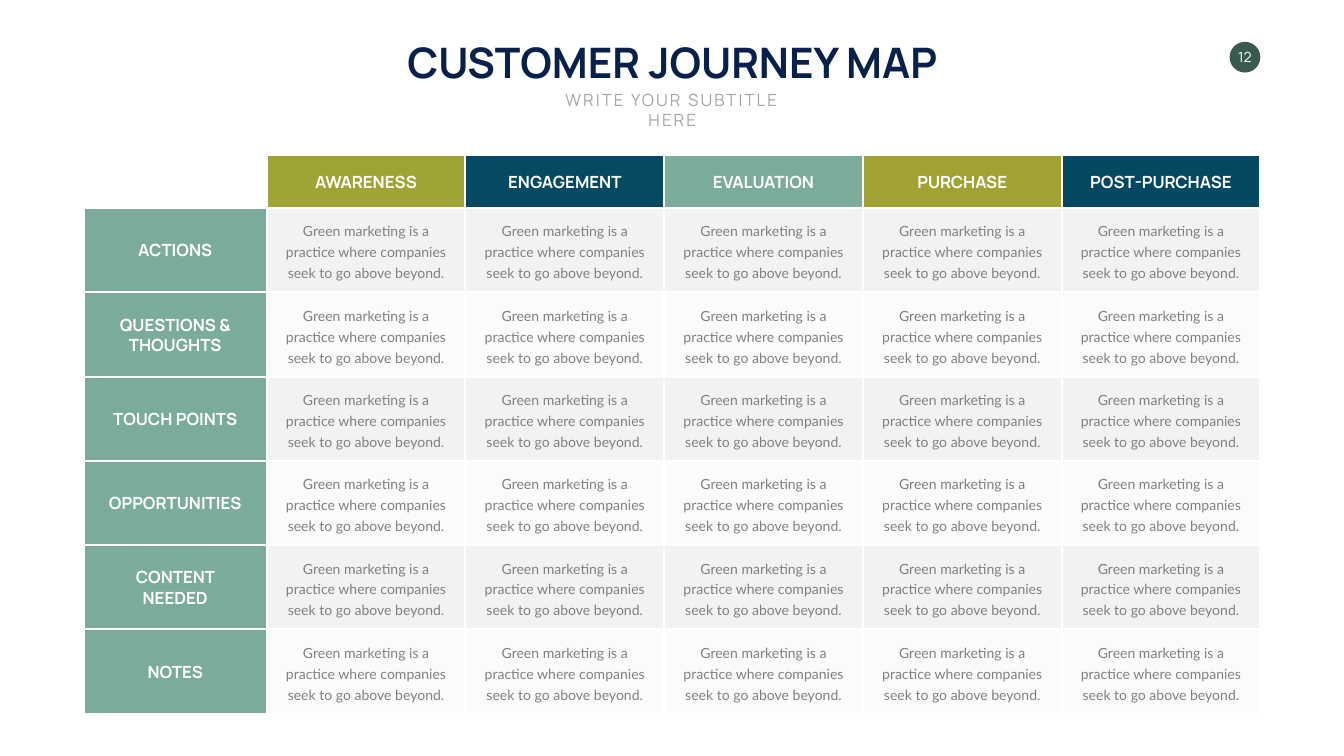
import dataclasses
import typing

import lxml.etree
import pptx
import pptx.dml.color
import pptx.enum.shapes
import pptx.enum.text
import pptx.oxml.ns
import pptx.util

SLIDE_WIDTH, SLIDE_HEIGHT = 26.66, 15
GRID_LEFT, GRID_TOP = 1.66, 3.08
GRID_RIGHT, GRID_BOTTOM = 25, 14.16
LABEL_WIDTH, HEADER_HEIGHT = 3.63, 1.05
HEADING_FONT, BODY_FONT = "Manrope", "Lato"
WHITE, LABEL_FILL, CELL_FILL = "FFFFFF", "7BAB99", "F2F2F2"
CELL_TEXT = "Green marketing is a practice where companies seek to go above beyond."


@dataclasses.dataclass(frozen=True)
class Area:
    left: float
    top: float
    width: float
    height: float

    def centered(self, inset: float, height: float) -> "Area":
        return Area(self.left + inset, self.top + (self.height - height) / 2,
                    self.width - 2 * inset, height)


@dataclasses.dataclass(frozen=True)
class Stage:
    name: str
    fill: str


@dataclasses.dataclass(frozen=True)
class Topic:
    name: str
    text_height: float = 0.5


STAGES = [
    Stage("AWARENESS", "A0A434"),
    Stage("ENGAGEMENT", "064963"),
    Stage("EVALUATION", "7BAC99"),
    Stage("PURCHASE", "A0A333"),
    Stage("POST-PURCHASE", "054862"),
]
TOPICS = [
    Topic("ACTIONS"),
    Topic("QUESTIONS & THOUGHTS", 0.91),
    Topic("TOUCH POINTS"),
    Topic("OPPORTUNITIES"),
    Topic("CONTENT NEEDED", 0.91),
    Topic("NOTES"),
]


def color(value: str) -> pptx.dml.color.RGBColor:
    return pptx.dml.color.RGBColor.from_string(value)


def grid_area(column: int, row: int) -> Area:
    column_width = (GRID_RIGHT - GRID_LEFT - LABEL_WIDTH) / len(STAGES)
    row_height = (GRID_BOTTOM - GRID_TOP - HEADER_HEIGHT) / len(TOPICS)
    left = GRID_LEFT if column == 0 else GRID_LEFT + LABEL_WIDTH + (column - 1) * column_width
    top = GRID_TOP if row == 0 else GRID_TOP + HEADER_HEIGHT + (row - 1) * row_height
    return Area(left, top, column_width if column else LABEL_WIDTH,
                row_height if row else HEADER_HEIGHT)


def lengths(area: Area) -> list[pptx.util.Length]:
    return [pptx.util.Inches(value) for value in dataclasses.astuple(area)]


def write(box: typing.Any, text: str, *, size: float, fill: str, font: str = HEADING_FONT,
          bold: bool = False, wrap: bool = True, anchor: str = "MIDDLE",
          spacing: float | None = None, tracking: float = 0,
          margin: float | None = None) -> None:
    frame = box.text_frame
    frame.word_wrap = wrap
    frame.auto_size = pptx.enum.text.MSO_AUTO_SIZE.SHAPE_TO_FIT_TEXT
    frame.vertical_anchor = pptx.enum.text.MSO_ANCHOR[anchor]
    if margin is not None:
        frame.margin_left = frame.margin_right = pptx.util.Inches(margin)
        frame.margin_top = frame.margin_bottom = pptx.util.Inches(margin)
    para = frame.paragraphs[0]
    para.alignment = pptx.enum.text.PP_ALIGN.CENTER
    para.space_before = pptx.util.Pt(0)
    if spacing:
        para.line_spacing = pptx.util.Pt(spacing)
    span = para.add_run()
    span.text = text
    span.font.size = pptx.util.Pt(size)
    span.font.name = font
    span.font.bold = bold
    span.font.color.rgb = color(fill)
    if tracking:
        span.font._element.set("spc", str(int(tracking * 100)))


def add_text(page: typing.Any, area: Area, text: str, **style: typing.Any) -> None:
    write(page.shapes.add_textbox(*lengths(area)), text, **style)


def fill_placeholder(box: typing.Any, area: Area, text: str, **style: typing.Any) -> None:
    box.left, box.top, box.width, box.height = lengths(area)
    write(box, text, anchor="TOP", **style)


def add_tile(page: typing.Any, area: Area, fill: str, opacity: int = 100) -> None:
    tile = page.shapes.add_shape(pptx.enum.shapes.MSO_SHAPE.RECTANGLE, *lengths(area))
    tile.shadow.inherit = False
    tile.fill.solid()
    tile.fill.fore_color.rgb = color(fill)
    if opacity < 100:
        qualified = pptx.oxml.ns.qn
        solid = tile._element.spPr.find(qualified("a:solidFill"))
        lxml.etree.SubElement(solid[0], qualified("a:alpha"), val=str(opacity * 1000))
    tile.line.color.rgb = color(WHITE)
    tile.line.width = pptx.util.Pt(3)


def add_page_number(page: typing.Any, number: str) -> None:
    area = Area(24.39, 0.83, 0.61, 0.61)
    badge = page.shapes.add_shape(pptx.enum.shapes.MSO_SHAPE.OVAL, *lengths(area))
    badge.shadow.inherit = False
    badge.fill.solid()
    badge.fill.fore_color.rgb = color("395A4E")
    badge.line.fill.background()
    add_text(page, area.centered(0.1, 0.34), number, size=20, fill=WHITE, wrap=False, margin=0)


def add_tiles(page: typing.Any) -> None:
    for row in range(1, len(TOPICS) + 1):
        add_tile(page, grid_area(0, row), LABEL_FILL)
    for column, stage in enumerate(STAGES, 1):
        add_tile(page, grid_area(column, 0), stage.fill)
        for row in range(1, len(TOPICS) + 1):
            add_tile(page, grid_area(column, row), CELL_FILL, 100 if row % 2 else 25)


def add_labels(page: typing.Any) -> None:
    heading = dict(size=24, fill=WHITE, bold=True)
    for row, topic in enumerate(TOPICS, 1):
        add_text(page, grid_area(0, row).centered(0.28, topic.text_height), topic.name, **heading)
    for column, stage in enumerate(STAGES, 1):
        add_text(page, grid_area(column, 0).centered(0.27, 0.5), stage.name, **heading)
        for row in range(1, len(TOPICS) + 1):
            add_text(page, grid_area(column, row).centered(0.14, 1.32), CELL_TEXT,
                     size=20, fill="808080", font=BODY_FONT, spacing=30)


def main() -> None:
    deck = pptx.Presentation()
    deck.slide_width = pptx.util.Inches(SLIDE_WIDTH)
    deck.slide_height = pptx.util.Inches(SLIDE_HEIGHT)
    page = deck.slides.add_slide(deck.slide_layouts[0])
    title, subtitle = page.placeholders
    fill_placeholder(title, Area(7.78, 0.67, 11.11, 1.11), "CUSTOMER JOURNEY MAP",
                     size=60, fill="08204C", bold=True, wrap=False)
    fill_placeholder(subtitle, Area(10.62, 1.72, 5.43, 0.5), "WRITE YOUR SUBTITLE HERE",
                     size=24, fill="A6A6A6", tracking=3)
    add_page_number(page, "12")
    add_tiles(page)
    add_labels(page)
    deck.save("out.pptx")


if __name__ == "__main__":
    main()
